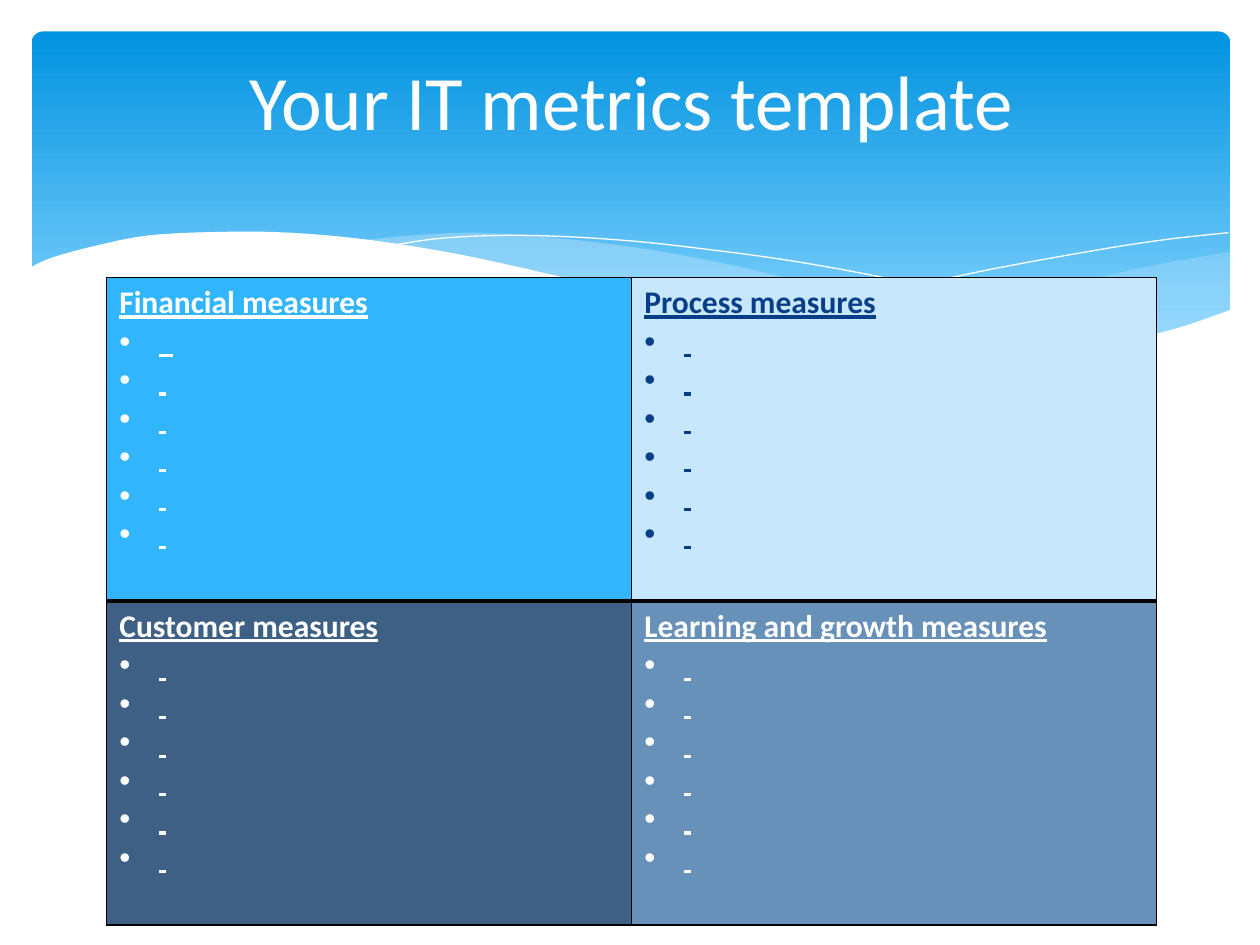
from dataclasses import dataclass

from lxml import etree
from pptx import Presentation
from pptx import util as u
from pptx.dml import color
from pptx.enum import shapes, text
from pptx.oxml import ns

Pt = u.Pt


@dataclass(frozen=True)
class Theme:
    """Colours, font and type sizes of the deck."""
    font: str = "Calibri"
    title: int = 44
    body: int = 18
    white: str = "FFFFFF"
    black: str = "000000"
    navy: str = "073E87"
    banner_top: str = "0293E0"
    banner_end: str = "83D3FE"
    sky: str = "31B6FD"
    pale: str = "C6E7FC"
    slate: str = "3D6084"
    steel: str = "6891BA"


T = Theme()

RIGHT_WAVE = [
    [(685, 126), (655, 131), (623.5, 137.5), (602, 142.5), (543, 156), (490, 167), (458, 173)],
    [(458, 173), (489.5, 177), (518.5, 180), (552, 181.5), (583, 181.5), (616, 178.5),
     (645, 173), (665, 167), (685, 160)],
]
MIDDLE_WAVE = [
    [(188, 119.5), (218, 116.5), (255.5, 115), (300, 118), (352, 124.5), (402.5, 134),
     (463, 148.5), (515.5, 160), (563, 169), (625, 178.5)],
    [(625, 178.5), (599, 181.5), (563, 182), (520.5, 180.5), (471.5, 175), (414.5, 165.5),
     (363.5, 155), (305.5, 142), (258, 131), (214.5, 123), (188, 119.5)],
]
LONG_LINE = [[(204.5, 122.5), (236, 118), (281.5, 116.5), (334, 119), (382, 124), (440, 132),
              (505.5, 144.5), (580.5, 162.5), (635, 178)]]
SHORT_LINE = [[(423.5, 167), (482.5, 151), (540.5, 137.5), (605.5, 125.5), (647.5, 119), (684, 115)]]
WHITE_WAVE = [
    [(685.5, 159), (651.5, 170.5), (612, 178.5), (564.5, 181.5), (504.5, 178), (432.5, 168),
     (363, 154), (304, 140.5), (245, 127.5), (192, 119), (147.5, 115), (109.5, 114.5),
     (67.5, 116.5), (36.5, 122.5), (11, 129.5), (-1.5, 135.5)],
    [(-1.5, 219), (685.5, 219)],
]

QUADRANTS = [
    [("Financial measures", T.sky, T.white), ("Process measures", T.pale, T.navy)],
    [("Customer measures", T.slate, T.white), ("Learning and growth measures", T.steel, T.white)],
]
BULLETS = 6


def rgb(value):
    """Return the colour for a hex string."""
    return color.RGBColor.from_string(value)


def smooth(knots, steps=5):
    """Return points on a Catmull-Rom curve through the knots."""
    if len(knots) < 3:
        return knots
    ends = [knots[0], *knots, knots[-1]]
    points = []
    for a, b, c, d in zip(ends, ends[1:], ends[2:], ends[3:]):
        for t in (i / steps for i in range(steps)):
            points.append(tuple(
                (2 * q + (r - p) * t + (2 * p - 5 * q + 4 * r - w) * t ** 2
                 + (3 * q - p - 3 * r + w) * t ** 3) / 2
                for p, q, r, w in zip(a, b, c, d)))
    return points + [knots[-1]]


def add_curve(s, box, edges, fill=None, alpha=100):
    """Draw joined smooth edges as a filled wave, or as a hairline without fill."""
    points = [(Pt(box[0] + x), Pt(box[1] + y)) for edge in edges for x, y in smooth(edge)]
    builder = s.shapes.build_freeform(*points[0])
    builder.add_line_segments(points[1:], close=fill is not None)
    sp = builder.convert_to_shape()
    sp.shadow.inherit = False
    if fill is None:
        sp.fill.background()
        sp.line.color.rgb = rgb(T.white)
        sp.line.width = Pt(0)
        return
    sp.fill.solid()
    sp.fill.fore_color.rgb = rgb(fill)
    sp.line.fill.background()
    if alpha < 100:
        clr = sp._element.spPr.find(ns.qn("a:solidFill"))[0]
        etree.SubElement(clr, ns.qn("a:alpha"), val=str(alpha * 1000))


def add_banner(s, box):
    """Draw the gradient banner with its waves."""
    sp = s.shapes.add_shape(shapes.MSO_SHAPE.ROUNDED_RECTANGLE, *map(Pt, box))
    sp.adjustments[0] = 0.034
    sp.shadow.inherit = False
    sp.line.fill.background()
    sp.fill.gradient()
    sp.fill.gradient_angle = 270
    stops = zip(sp.fill.gradient_stops, ((0, T.banner_top), (0.9, T.banner_end)))
    for stop, (position, value) in stops:
        stop.position = position
        stop.color.rgb = rgb(value)
    add_curve(s, box, RIGHT_WAVE, T.pale, 29)
    add_curve(s, box, MIDDLE_WAVE, T.pale, 40)
    add_curve(s, box, LONG_LINE)
    add_curve(s, box, SHORT_LINE)
    add_curve(s, box, WHITE_WAVE, T.white)


def format_run(r, size, value, strong=False):
    """Set the font of a run."""
    r.font.name = T.font
    r.font.size = Pt(size)
    r.font.color.rgb = rgb(value)
    if strong:
        r.font.bold = r.font.underline = True


def add_title(s, box, words):
    """Fill the title placeholder and bring it in front of the banner."""
    sp = s.shapes.title
    sp.left, sp.top, sp.width, sp.height = map(Pt, box)
    sp._element.getparent().append(sp._element)
    tf = sp.text_frame
    tf.text = words
    tf.vertical_anchor = text.MSO_ANCHOR.MIDDLE
    p = tf.paragraphs[0]
    p.alignment = text.PP_ALIGN.CENTER
    format_run(p.runs[0], T.title, T.white)


def set_borders(cell, widths):
    """Give a cell solid borders of the given widths by side."""
    tc_pr = cell._tc.get_or_add_tcPr()
    for side, width in widths.items():
        ln = etree.SubElement(tc_pr, ns.qn(f"a:ln{side}"), w=str(Pt(width)))
        fill = etree.SubElement(ln, ns.qn("a:solidFill"))
        etree.SubElement(fill, ns.qn("a:srgbClr"), val=T.black)


def set_bullet(p, indent):
    """Give a paragraph a round bullet with a hanging indent."""
    p_pr = p._p.get_or_add_pPr()
    p_pr.set("marL", str(Pt(indent)))
    p_pr.set("indent", str(-Pt(indent)))
    etree.SubElement(p_pr, ns.qn("a:buFont"), typeface="Arial")
    etree.SubElement(p_pr, ns.qn("a:buChar"), char="•")


def fill_quadrant(cell, heading, fill, ink, first):
    """Write a heading and its open bullets into a cell."""
    cell.fill.solid()
    cell.fill.fore_color.rgb = rgb(fill)
    tf = cell.text_frame
    lines = [heading] + [" "] * BULLETS
    if first:
        lines[1] = "  "
    tf.text = "\n".join(lines)
    for i, p in enumerate(tf.paragraphs):
        format_run(p.runs[0], T.body, ink, strong=True)
        if i:
            set_bullet(p, 22.5)


def add_quadrants(s, box):
    """Add the two-by-two table of measures."""
    size = len(QUADRANTS)
    table = s.shapes.add_table(size, size, *map(Pt, box)).table
    table.first_row = table.horz_banding = False
    for i, row in enumerate(QUADRANTS):
        table.rows[i].height = Pt(box[3] / size)
        table.columns[i].width = Pt(box[2] / size)
        for j, quadrant in enumerate(row):
            cell = table.cell(i, j)
            set_borders(cell, {"L": 1, "R": 1, "T": 3 if i else 1, "B": 1 if i else 3})
            fill_quadrant(cell, *quadrant, first=i == j == 0)


def main():
    """Build and save the slide."""
    prs = Presentation()
    prs.slide_width, prs.slide_height = Pt(720), Pt(540)
    s = prs.slides.add_slide(prs.slide_layouts[5])
    add_banner(s, (18, 18, 685, 194.5))
    add_title(s, (20, 24, 682, 66), "Your IT metrics template")
    add_quadrants(s, (61, 158.5, 600, 370))
    prs.save("out.pptx")


if __name__ == "__main__":
    main()
